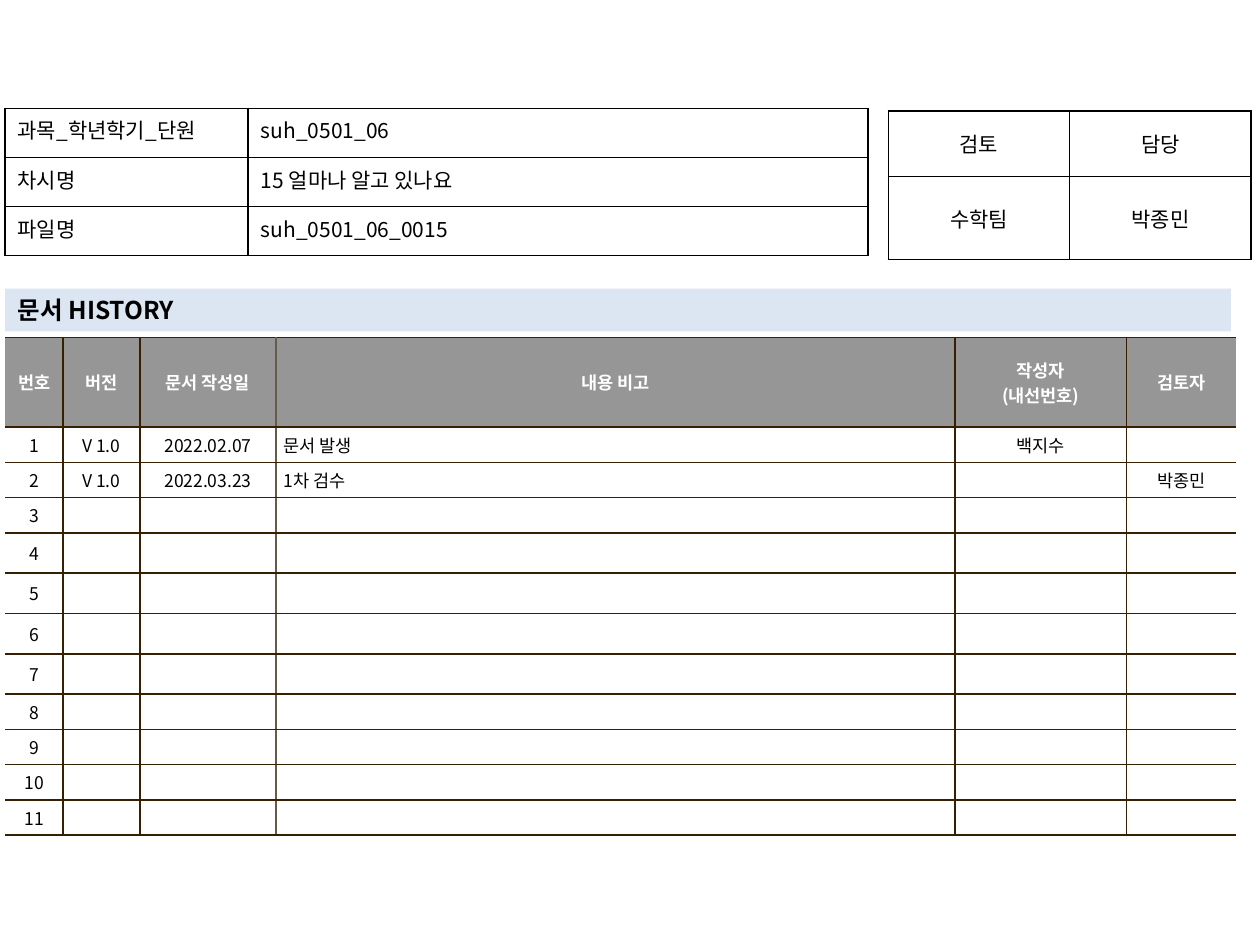
from dataclasses import dataclass
from typing import Optional

import pptx
import pptx.dml.color
import pptx.enum.text
import pptx.oxml
import pptx.oxml.ns
import pptx.util

Inches = pptx.util.Inches
Pt = pptx.util.Pt
Align = pptx.enum.text.PP_ALIGN
Anchor = pptx.enum.text.MSO_ANCHOR

FONT = "Noto Sans CJK KR"
BLACK, WHITE = "000000", "FFFFFF"
GREY, PALE_BLUE = "969696", "DCE6F2"
BROWN, TAUPE = "362000", "645B4C"


@dataclass
class TableSpec:
    left: float
    top: float
    cols: list[float]
    heights: list[float]
    rows: list[list[str]]
    aligns: list[Align]
    anchor: Anchor
    size: float
    margins: tuple[float, float]
    # Colours of the vertical rules from left to right; None hides a rule.
    rules: list[Optional[str]]
    line: str
    fill: Optional[str] = None
    header_fill: Optional[str] = None


def rgb(color: str) -> pptx.dml.color.RGBColor:
    return pptx.dml.color.RGBColor.from_string(color)


def style_runs(tf, size: float, color: str, bold: bool) -> None:
    for p in tf.paragraphs:
        for r in p.runs:
            r.font.size = Pt(size)
            r.font.bold = bold
            r.font.name = FONT
            r.font.color.rgb = rgb(color)
            ea = r.font._element.makeelement(pptx.oxml.ns.qn("a:ea"), {"typeface": FONT})
            r.font._element.find(pptx.oxml.ns.qn("a:latin")).addnext(ea)


def set_empty_size(p, size: float) -> None:
    """Give a paragraph without runs its text size, which sets the row height."""
    end = p._p.makeelement(pptx.oxml.ns.qn("a:endParaRPr"), {"sz": str(int(size * 100))})
    p._p.append(end)


def set_borders(cell, colors: dict[str, Optional[str]]) -> None:
    tc_pr = cell._tc.get_or_add_tcPr()
    for i, (side, color) in enumerate(colors.items()):
        paint = (f'<a:solidFill><a:srgbClr val="{color}"/></a:solidFill>'
                 if color else "<a:noFill/>")
        tc_pr.insert(i, pptx.oxml.parse_xml(
            f'<a:ln{side} {pptx.oxml.ns.nsdecls("a")} w="{Pt(1)}">{paint}</a:ln{side}>'))


def draw_table(slide, spec: TableSpec) -> None:
    table = slide.shapes.add_table(
        len(spec.rows), len(spec.cols), Inches(spec.left), Inches(spec.top),
        Inches(sum(spec.cols)), Inches(sum(spec.heights))).table
    table.first_row = table.horz_banding = False
    for column, width in zip(table.columns, spec.cols):
        column.width = Inches(width)
    for row, height in zip(table.rows, spec.heights):
        row.height = Inches(height)
    for i, texts in enumerate(spec.rows):
        header = i == 0 and spec.header_fill is not None
        for j, text in enumerate(texts):
            cell = table.cell(i, j)
            cell.text_frame.text = text
            cell.vertical_anchor = spec.anchor
            cell.margin_left = cell.margin_right = Inches(spec.margins[0])
            cell.margin_top = cell.margin_bottom = Inches(spec.margins[1])
            for p in cell.text_frame.paragraphs:
                p.alignment = Align.CENTER if header else spec.aligns[j]
                if not text:
                    set_empty_size(p, spec.size)
            style_runs(cell.text_frame, spec.size, WHITE if header else BLACK, header)
            set_borders(cell, {"L": spec.rules[j], "R": spec.rules[j + 1],
                               "T": spec.line, "B": spec.line})
            fill = spec.header_fill if header else spec.fill
            if fill:
                cell.fill.solid()
                cell.fill.fore_color.rgb = rgb(fill)
            else:
                cell.fill.background()


def draw_heading(slide, text: str) -> None:
    sp = slide.shapes.title
    sp.left, sp.top, sp.width, sp.height = map(Inches, (0.04, 2.29, 9.73, 0.34))
    sp.fill.solid()
    sp.fill.fore_color.rgb = rgb(PALE_BLUE)
    tf = sp.text_frame
    tf.text = text
    tf.word_wrap = True
    tf.auto_size = pptx.enum.text.MSO_AUTO_SIZE.NONE
    tf.vertical_anchor = Anchor.MIDDLE
    tf.paragraphs[0].alignment = Align.LEFT
    style_runs(tf, 14, BLACK, True)


HISTORY_HEAD = ["번호", "버전", "문서 작성일", "내용 비고", "작성자\n(내선번호)", "검토자"]
HISTORY_ENTRIES = [
    ["V 1.0", "2022.02.07", "문서 발생", "백지수", ""],
    ["V 1.0", "2022.03.23", "1차 검수", "", "박종민"],
]
ENTRY_COUNT = 11
blank_entries = [[""] * 5] * (ENTRY_COUNT - len(HISTORY_ENTRIES))
history_rows = [HISTORY_HEAD] + [
    [str(n), *entry] for n, entry in enumerate(HISTORY_ENTRIES + blank_entries, 1)]

HISTORY = TableSpec(
    left=0.04, top=2.68, cols=[0.46, 0.61, 1.08, 5.39, 1.36, 0.87],
    heights=[0.71] + [0.28] * 3 + [0.32] * 4 + [0.28] * 4, rows=history_rows,
    aligns=[Align.CENTER] * 3 + [Align.LEFT] + [Align.CENTER] * 2,
    anchor=Anchor.MIDDLE, size=10, margins=(0.06, 0.04),
    rules=[None, BROWN, BROWN, TAUPE, BROWN, BROWN, None], line=BROWN,
    fill=WHITE, header_fill=GREY)

REVIEW = TableSpec(
    left=7.05, top=0.88, cols=[1.44, 1.44], heights=[0.52, 0.66],
    rows=[["검토", "담당"], ["수학팀", "박종민"]],
    aligns=[Align.CENTER] * 2, anchor=Anchor.MIDDLE, size=12,
    margins=(0.1, 0.05), rules=[BLACK] * 3, line=BLACK)

LESSON = TableSpec(
    left=0.04, top=0.86, cols=[1.93, 4.92], heights=[0.39] * 3,
    rows=[["과목_학년학기_단원", "suh_0501_06"],
          ["차시명", "15 얼마나 알고 있나요"],
          ["파일명", "suh_0501_06_0015"]],
    aligns=[Align.JUSTIFY, Align.LEFT], anchor=Anchor.TOP, size=12,
    margins=(0.1, 0.05), rules=[BLACK] * 3, line=BLACK)


def main() -> None:
    prs = pptx.Presentation()
    prs.slide_width, prs.slide_height = Inches(10), Inches(7.5)
    slide = prs.slides.add_slide(prs.slide_layouts.get_by_name("Title Only"))
    draw_heading(slide, "문서 HISTORY")
    for spec in (HISTORY, REVIEW, LESSON):
        draw_table(slide, spec)
    prs.save("out.pptx")


if __name__ == "__main__":
    main()
